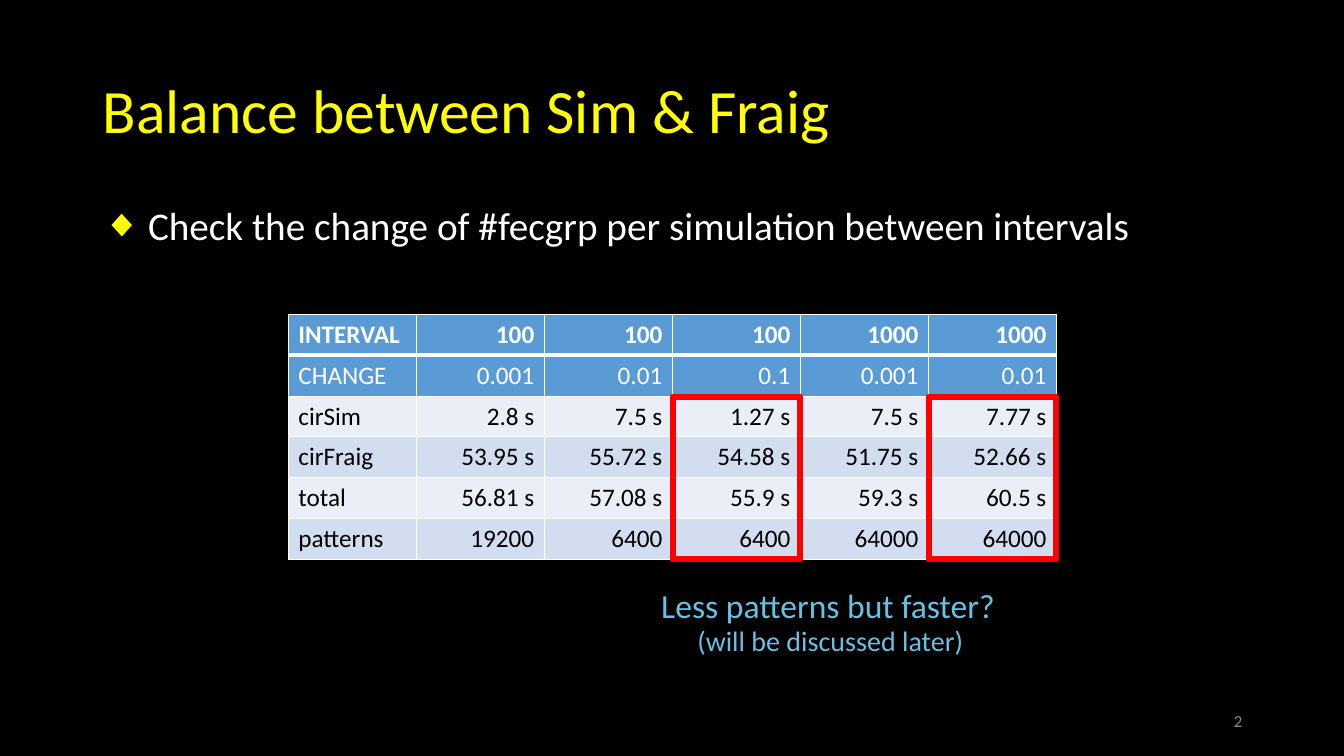
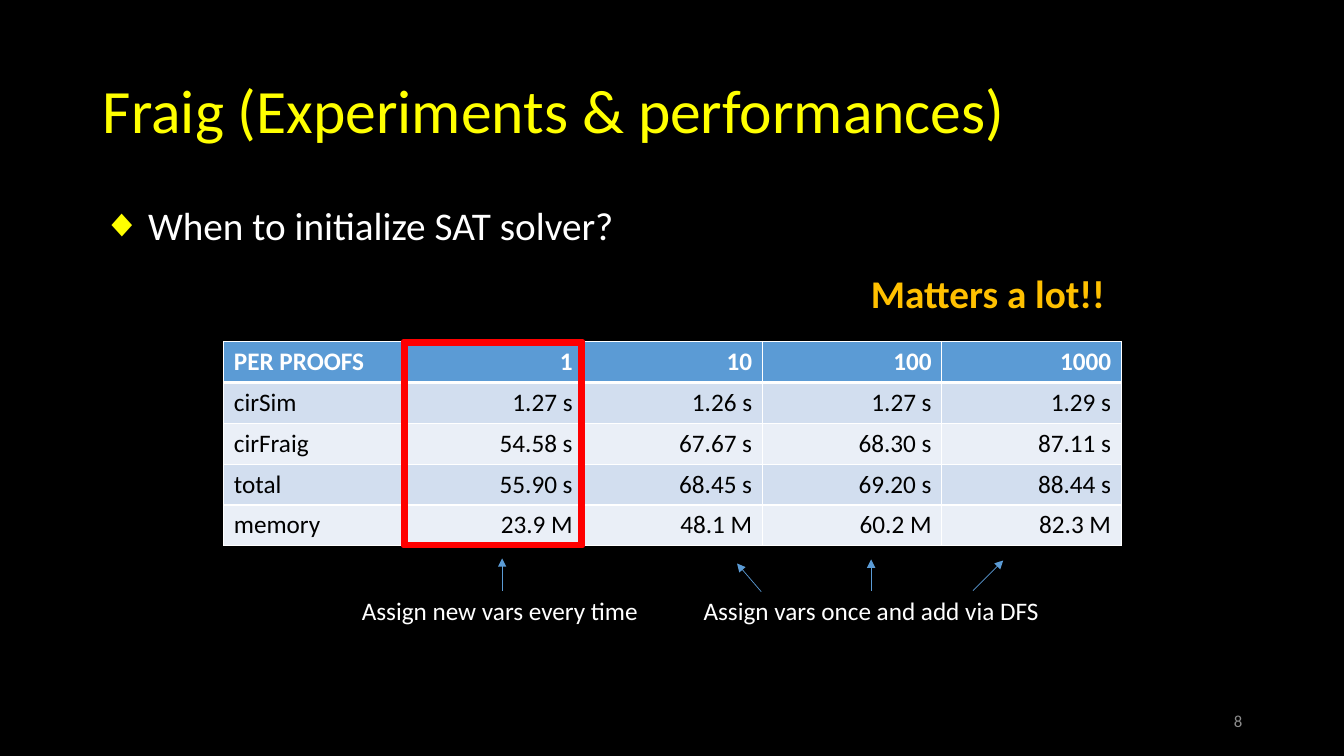
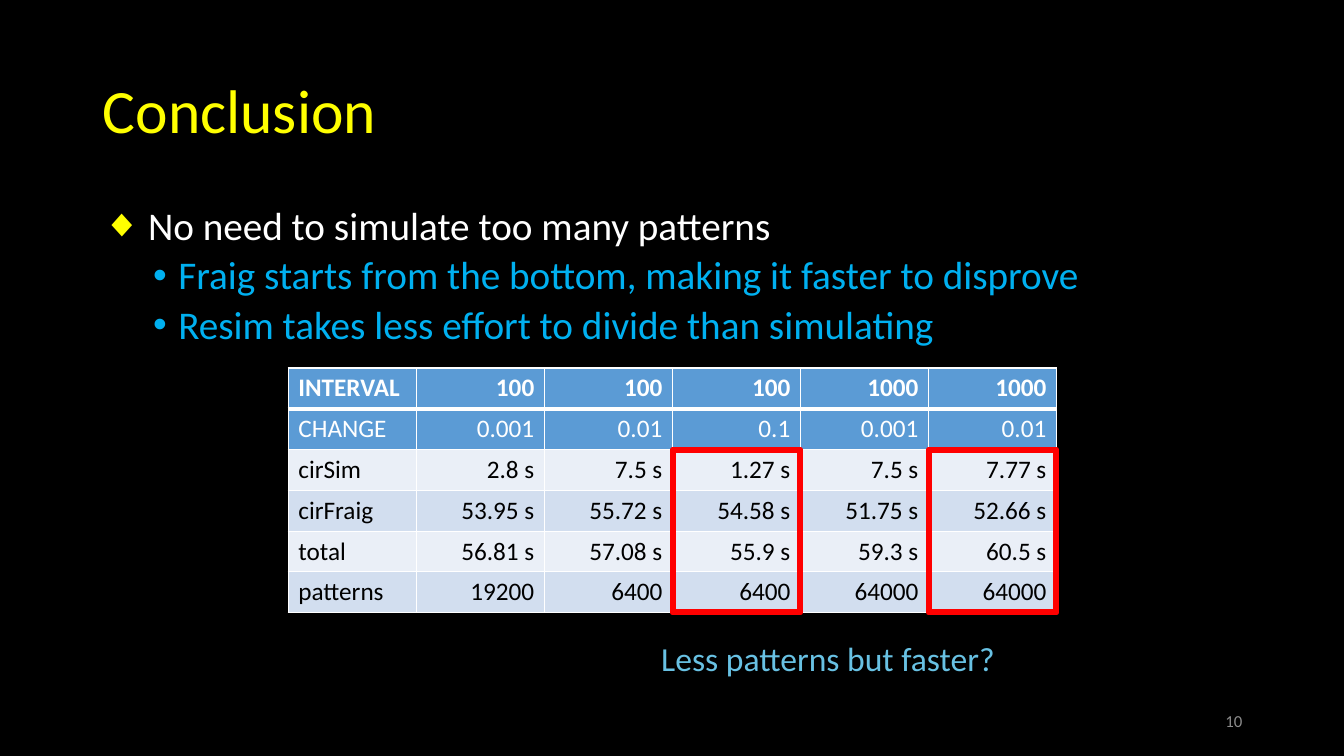
from pptx import Presentation
from pptx.dml.color import RGBColor
from pptx.enum.shapes import MSO_CONNECTOR as LINE, MSO_SHAPE as SHAPE
from pptx.enum.text import MSO_ANCHOR as ANCHOR, MSO_AUTO_SIZE as FIT, PP_ALIGN as ALIGN
from pptx.oxml.ns import qn
from pptx.util import Inches, Pt
from lxml import etree

# Shared style
FONT = "Calibri"
BLACK, WHITE, YELLOW, RED = "000000", "FFFFFF", "FFFF00", "FF0000"
BLUE, PALE, LIGHT = "5B9BD5", "D2DEEF", "EAEFF7"
SKY, AQUA, GOLD, GREY = "00B0F0", "68C1E3", "FFC000", "8C8C8C"
ROW = 0.405
# Per outline level: bullet, bullet colour, text colour, margin, hang, space before
LEVELS = [
    ("◆", YELLOW, WHITE, 0.45, 0.45, 10),
    ("•", SKY, SKY, 0.75, 0.25, 5),
]

# Content
BALANCE = [
    ["INTERVAL", "100", "100", "100", "1000", "1000"],
    ["CHANGE", "0.001", "0.01", "0.1", "0.001", "0.01"],
    ["cirSim", "2.8 s", "7.5 s", "1.27 s", "7.5 s", "7.77 s"],
    ["cirFraig", "53.95 s", "55.72 s", "54.58 s", "51.75 s", "52.66 s"],
    ["total", "56.81 s", "57.08 s", "55.9 s", "59.3 s", "60.5 s"],
    ["patterns", "19200", "6400", "6400", "64000", "64000"],
]
PROOFS = [
    ["PER PROOFS", "1", "10", "100", "1000"],
    ["cirSim", "1.27 s", "1.26 s", "1.27 s", "1.29 s"],
    ["cirFraig", "54.58 s", "67.67 s", "68.30 s", "87.11 s"],
    ["total", "55.90 s", "68.45 s", "69.20 s", "88.44 s"],
    ["memory", "23.9 M", "48.1 M", "60.2 M", "82.3 M"],
]
ASK = "Less patterns but faster?"
SLIDES = [
    dict(title="Balance between Sim & Fraig", page=2,
         points=[(0, "Check the change of #fecgrp per simulation between intervals")],
         grid=dict(rows=BALANCE, left=2.86, top=3.12, wide=1.27, heads=2, marks=[3, 5]),
         notes=[(ASK, (6.46, 5.75, 3.55, 0.5), dict(size=24, color=AQUA)),
                ("(will be discussed later)", (6.46, 6.14, 3.55, 0.45),
                 dict(size=20, color=AQUA, align=ALIGN.CENTER))]),
    dict(title="Fraig (Experiments & performances)", page=8,
         points=[(0, "When to initialize SAT solver?")],
         grid=dict(rows=PROOFS, left=2.22, top=3.39, wide=1.78, heads=1, marks=[1]),
         notes=[("Assign new vars every time", (3.49, 5.86, 2.97, 0.4), {}),
                ("Assign vars once and add via DFS", (6.88, 5.86, 3.57, 0.4), {}),
                ("Matters a lot!!", (8.54, 2.62, 2.56, 0.57),
                 dict(size=28, color=GOLD, bold=True))],
         arrows=[(4.98, 5.86, 4.98, 5.54), (8.64, 5.86, 8.64, 5.55),
                 (9.65, 5.86, 9.95, 5.56), (7.55, 5.87, 7.31, 5.59)]),
    dict(title="Conclusion", page=10,
         points=[(0, "No need to simulate too many patterns"),
                 (1, "Fraig starts from the bottom, making it faster to disprove"),
                 (1, "Resim takes less effort to divide than simulating")],
         grid=dict(rows=BALANCE, left=2.86, top=3.65, wide=1.27, heads=2, marks=[3, 5]),
         notes=[(ASK, (6.46, 6.28, 3.55, 0.5), dict(size=24, color=AQUA))]),
]


def rgb(code):
    return RGBColor.from_string(code)


def write(para, text, size=18, color=WHITE, bold=False, align=ALIGN.LEFT,
          spacing=None, before=None):
    para.alignment = align
    if spacing:
        para.line_spacing = spacing
    if before:
        para.space_before = Pt(before)
    run = para.add_run()
    run.text = text
    font = run.font
    font.name, font.size, font.bold = FONT, Pt(size), bold
    font.color.rgb = rgb(color)


def add_box(slide, at, wrap=True, anchor=ANCHOR.TOP):
    frame = slide.shapes.add_textbox(*map(Inches, at)).text_frame
    frame.word_wrap, frame.vertical_anchor = wrap, anchor
    return frame


def add_title(slide, text):
    title = slide.shapes.title
    title.left, title.top, title.width, title.height = map(Inches, (0.92, 0.4, 11.5, 1.45))
    frame = title.text_frame
    frame.vertical_anchor, frame.auto_size = ANCHOR.MIDDLE, FIT.NONE
    write(frame.paragraphs[0], text, size=44, color=YELLOW, spacing=0.9)


def add_points(slide, points):
    frame = add_box(slide, (0.92, 2, 11.5, 4.76))
    for i, (level, text) in enumerate(points):
        mark, tint, color, margin, hang, before = LEVELS[level]
        para = frame.add_paragraph() if i else frame.paragraphs[0]
        para.level = level
        write(para, text, size=28, color=color, spacing=0.9, before=before)
        props = para._p.get_or_add_pPr()
        props.set("marL", str(Inches(margin)))
        props.set("indent", str(-Inches(hang)))
        paint = etree.SubElement(props, qn("a:buClr"))
        etree.SubElement(paint, qn("a:srgbClr"), val=tint)
        etree.SubElement(props, qn("a:buFont"), typeface="Arial")
        etree.SubElement(props, qn("a:buChar"), char=mark)


def add_edges(cell, top, bottom):
    props = cell._tc.get_or_add_tcPr()
    for side, width in (("L", 1), ("R", 1), ("T", top), ("B", bottom)):
        edge = etree.SubElement(props, qn("a:ln" + side), w=str(Pt(width)))
        paint = etree.SubElement(edge, qn("a:solidFill"))
        etree.SubElement(paint, qn("a:srgbClr"), val=WHITE)


def add_grid(slide, rows, left, top, wide, heads, marks):
    count, span = len(rows), len(rows[0])
    table = slide.shapes.add_table(count, span, Inches(left), Inches(top),
                                   Inches(wide * span), Inches(ROW * count)).table
    for col in table.columns:
        col.width = Inches(wide)
    for r, row in enumerate(rows):
        table.rows[r].height = Inches(ROW)
        head = r < heads
        for c, text in enumerate(row):
            cell = table.cell(r, c)
            # A thick rule parts the first row from the rest
            add_edges(cell, top=3 if r == 1 else 1, bottom=3 if r == 0 else 1)
            cell.fill.solid()
            cell.fill.fore_color.rgb = rgb(BLUE if head else PALE if r % 2 else LIGHT)
            write(cell.text_frame.paragraphs[0], text, color=WHITE if head else BLACK,
                  bold=r == 0, align=ALIGN.RIGHT if c else ALIGN.LEFT)
    # Red frames skip the two heading rows, or take the whole column
    start = heads if heads > 1 else 0
    for c in marks:
        add_mark(slide, left + c * wide, top + start * ROW, wide, (count - start) * ROW)


def add_mark(slide, *at):
    mark = slide.shapes.add_shape(SHAPE.FRAME, *map(Inches, at))
    mark.adjustments[0] = 0.01
    mark.shadow.inherit = False
    mark.fill.solid()
    mark.fill.fore_color.rgb = rgb(RED)
    mark.line.color.rgb = rgb(RED)
    mark.line.width = Pt(3.5)


def add_arrow(slide, ends):
    arrow = slide.shapes.add_connector(LINE.STRAIGHT, *map(Inches, ends))
    arrow.line.color.rgb = rgb(BLUE)
    arrow.line.width = Pt(0.5)
    etree.SubElement(arrow.line._get_or_add_ln(), qn("a:tailEnd"), type="triangle")
    etree.SubElement(arrow._element.spPr, qn("a:effectLst"))


# Build the deck
deck = Presentation()
deck.slide_width, deck.slide_height = Inches(13.33), Inches(7.5)
back = deck.slide_master.background.fill
back.solid()
back.fore_color.rgb = rgb(BLACK)

for item in SLIDES:
    slide = deck.slides.add_slide(deck.slide_layouts[5])
    add_title(slide, item["title"])
    add_points(slide, item["points"])
    add_grid(slide, **item["grid"])
    for text, at, style in item["notes"]:
        write(add_box(slide, at, wrap=False).paragraphs[0], text, **style)
    for ends in item.get("arrows", []):
        add_arrow(slide, ends)
    page = add_box(slide, (9.42, 6.95, 3, 0.4), anchor=ANCHOR.MIDDLE)
    write(page.paragraphs[0], str(item["page"]), size=12, color=GREY, align=ALIGN.RIGHT)

deck.save("out.pptx")
